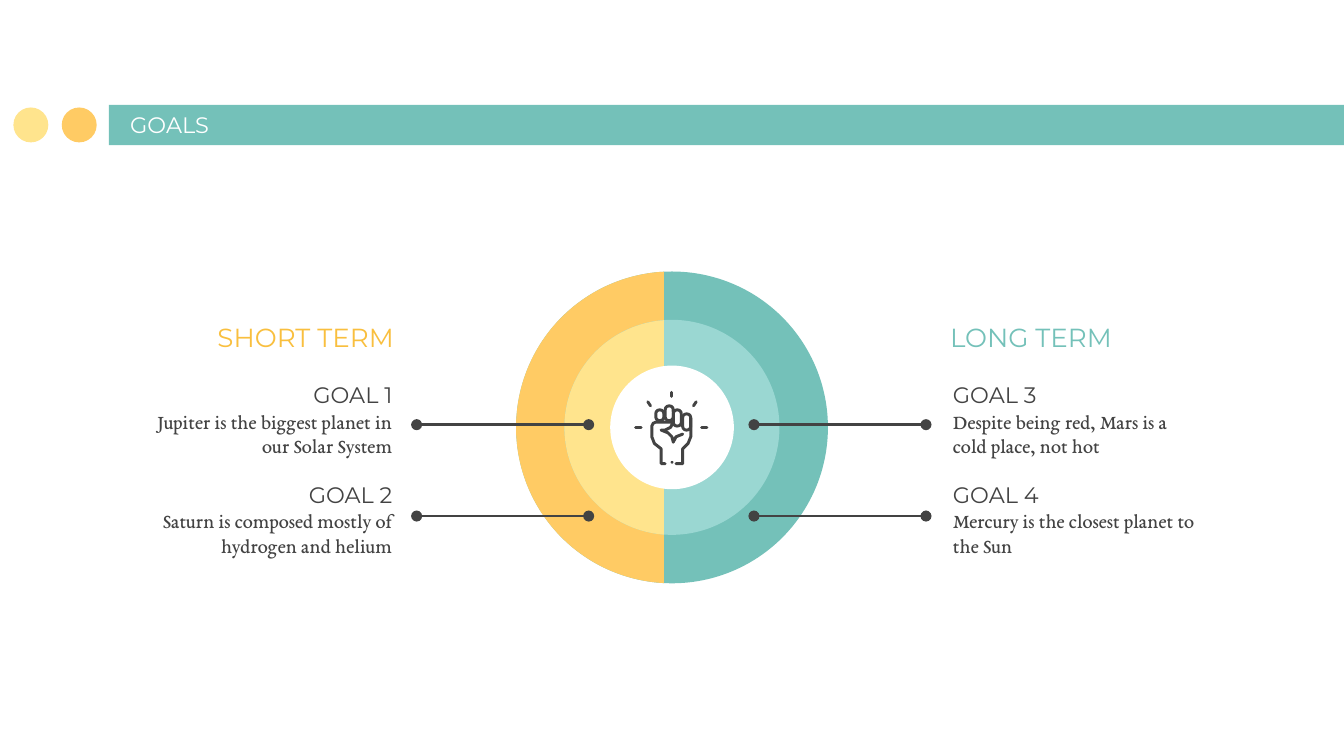
from math import acos, cos, sin, pi
from pptx import Presentation
from pptx.dml.color import RGBColor
from pptx.enum.shapes import MSO_CONNECTOR, MSO_SHAPE
from pptx.enum.text import MSO_ANCHOR, PP_ALIGN
from pptx.oxml.ns import qn
from pptx.util import Inches, Pt
from lxml import etree

TEAL = RGBColor(0x74, 0xC1, 0xB9)
MINT = RGBColor(0x9A, 0xD7, 0xD2)
AMBER = RGBColor(0xFF, 0xCB, 0x64)
CREAM = RGBColor(0xFF, 0xE4, 0x8D)
GOLD = RGBColor(0xF9, 0xBF, 0x3E)
DARK = RGBColor(0x43, 0x43, 0x43)
WHITE = RGBColor(0xFF, 0xFF, 0xFF)
RECT, OVAL, ROUND = MSO_SHAPE.RECTANGLE, MSO_SHAPE.OVAL, MSO_SHAPE.ROUNDED_RECTANGLE
LEFT, RIGHT = PP_ALIGN.LEFT, PP_ALIGN.RIGHT
TOP, BOTTOM = MSO_ANCHOR.TOP, MSO_ANCHOR.BOTTOM
HEAD, BODY = "Montserrat", "EB Garamond"

# Widescreen slide, 16 by 9
deck = Presentation()
deck.slide_width = Inches(10)
deck.slide_height = Inches(10) * 9 // 16
slide = deck.slides.add_slide(deck.slide_layouts[6])
shapes = slide.shapes


def paint(shape, fill=None, line=None):
    """Give a shape a plain fill, or a stroke, and no shadow."""
    shape.shadow.inherit = False
    if fill is None:
        shape.fill.background()
    else:
        shape.fill.solid()
        shape.fill.fore_color.rgb = fill
    if line is None:
        shape.line.fill.background()
    else:
        shape.line.color.rgb = line
        shape.line.width = Pt(1.6)


def write(box, lines, align, anchor=TOP, pad=(0.1, 0.1)):
    """Place a text box; each line is (text, font, size, colour)."""
    frame = shapes.add_textbox(*map(Inches, box)).text_frame
    frame.word_wrap = True
    frame.vertical_anchor = anchor
    frame.margin_left = frame.margin_right = Inches(pad[0])
    frame.margin_top = frame.margin_bottom = Inches(pad[1])
    for i, (text, font, size, color) in enumerate(lines):
        para = frame.add_paragraph() if i else frame.paragraphs[0]
        para.text, para.alignment = text, align
        para.font.name, para.font.size = font, Pt(size)
        para.font.color.rgb = color


# Title bar with two dots
bar = shapes.add_shape(RECT, Inches(0.81), Inches(0.78), Inches(9.19), Inches(0.3))
paint(bar, TEAL)
for x, color in ((0.46, AMBER), (0.1, CREAM)):
    dot = shapes.add_shape(OVAL, Inches(x), Inches(0.8), Inches(0.26), Inches(0.26))
    paint(dot, color)
write((0.87, 0.79, 5.48, 0.34), [("GOALS", HEAD, 12, WHITE)], LEFT, BOTTOM)

# Rings: a disc, then its left part in a second colour
MID_X, MID_Y, CUT = 5, 3.18, 4.94
STEPS = 90
for rad, right, left in ((1.16, TEAL, AMBER), (0.8, MINT, CREAM), (0.46, WHITE, None)):
    disc = shapes.add_shape(OVAL, Inches(MID_X - rad), Inches(MID_Y - rad),
                            Inches(2 * rad), Inches(2 * rad))
    paint(disc, right)
    if left is None:
        continue
    start = acos((CUT - MID_X) / rad)
    turn = 2 * (pi - start) / STEPS
    arc = [(Inches(MID_X + rad * cos(start + i * turn)),
            Inches(MID_Y + rad * sin(start + i * turn))) for i in range(STEPS + 1)]
    edge = shapes.build_freeform(*arc[0], scale=1.0)
    edge.add_line_segments(arc[1:], close=True)
    paint(edge.convert_to_shape(), left)

# Raised fist: fingers
for x, y, high in ((4.88, 3.05, 0.08), (4.95, 3.02, 0.11),
                   (5.01, 3.05, 0.12), (5.08, 3.08, 0.12)):
    finger = shapes.add_shape(ROUND, Inches(x), Inches(y), Inches(0.06), Inches(high))
    finger.adjustments[0] = 0.45
    paint(finger, line=DARK)

# Raised fist: hand, thumb, wrist and rays
strokes = (
    ((4.95, 3.45), (4.92, 3.45), (4.92, 3.34), (4.87, 3.3), (4.85, 3.25),
     (4.85, 3.17), (4.86, 3.15), (4.88, 3.14), (5.01, 3.14), (4.99, 3.18),
     (4.95, 3.2), (4.92, 3.2), (4.97, 3.22), (5, 3.25), (5.01, 3.29),
     (5.03, 3.25), (5.08, 3.23)),
    ((5.03, 3.45), (5.08, 3.45), (5.08, 3.34), (5.12, 3.3), (5.14, 3.25),
     (5.14, 3.11)),
    ((5, 2.92), (5, 2.95)),
    ((5.22, 3.18), (5.26, 3.18)),
    ((4.73, 3.18), (4.77, 3.18)),
    ((5.18, 2.99), (5.16, 3.02)),
    ((4.82, 2.99), (4.84, 3.02)),
)
for stroke in strokes:
    spots = [(Inches(x), Inches(y)) for x, y in stroke]
    edge = shapes.build_freeform(*spots[0], scale=1.0)
    edge.add_line_segments(spots[1:], close=False)
    shape = edge.convert_to_shape()
    paint(shape, line=DARK)
    shape.line._get_or_add_ln().set("cap", "rnd")
dot = shapes.add_shape(OVAL, Inches(4.99), Inches(3.43), Inches(0.02), Inches(0.02))
paint(dot, DARK)

# Term headings
for x, text, color, align in ((1.15, "SHORT TERM", GOLD, RIGHT),
                              (6.97, "LONG TERM", TEAL, LEFT)):
    write((x, 2.29, 1.88, 0.26), [(text, HEAD, 14, color)], align)

# Goals, two on each side
sides = (
    (1.04, RIGHT, (("GOAL 1", "Jupiter is the biggest planet in our Solar System"),
                   ("GOAL 2", "Saturn is composed mostly of hydrogen and helium"))),
    (7.09, LEFT, (("GOAL 3", "Despite being red, Mars is a cold place, not hot"),
                  ("GOAL 4", "Mercury is the closest planet to the Sun"))),
)
for x, align, goals in sides:
    for row, (name, text) in enumerate(goals):
        write((x, 2.83 + 0.74 * row, 1.88, 0.54),
              [(name, HEAD, 12, DARK), (text, BODY, 11, DARK)],
              align, pad=(0, 0.01))

# Lines from the goals to the rings
for x in (3.1, 5.61):
    for y in (3.16, 3.84):
        link = shapes.add_connector(MSO_CONNECTOR.STRAIGHT, Inches(x), Inches(y),
                                    Inches(x + 1.28), Inches(y))
        link.line.color.rgb = DARK
        link.line.width = Pt(1.5)
        ends = link.line._get_or_add_ln()
        for tag in ("a:headEnd", "a:tailEnd"):
            etree.SubElement(ends, qn(tag), type="oval")
        etree.SubElement(link._element.spPr, qn("a:effectLst"))

deck.save("out.pptx")
